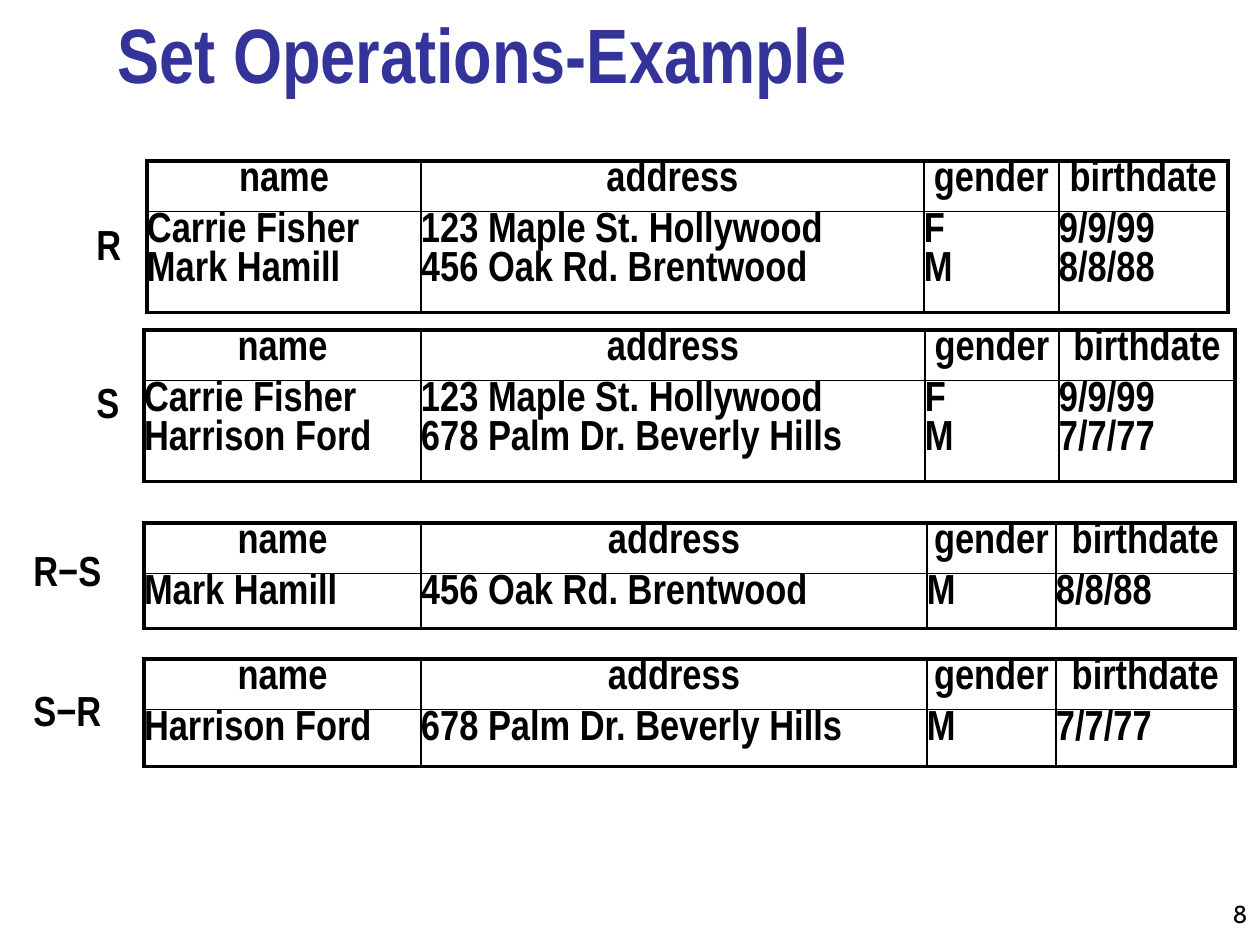
from lxml.etree import SubElement
from pptx import Presentation
from pptx.dml.color import RGBColor
from pptx.enum.text import MSO_ANCHOR as Anchor, PP_ALIGN as Align
from pptx.oxml.ns import qn
from pptx.util import Pt

PX = 914400 / 126
BLACK = RGBColor(0x00, 0x00, 0x00)
INDIGO = RGBColor(0x33, 0x33, 0x99)
NARROW = "Arial Narrow"
OUTER, INNER = Pt(2.25), Pt(1)
HEADINGS = ["name", "address", "gender", "birthdate"]

FISHER = ["Carrie Fisher", "123 Maple St. Hollywood", "F", "9/9/99"]
HAMILL = ["Mark Hamill", "456 Oak Rd. Brentwood", "M", "8/8/88"]
FORD = ["Harrison Ford", "678 Palm Dr. Beverly Hills", "M", "7/7/77"]

DIFFERENCE_COLUMNS = [277, 506, 129, 179]
RELATIONS = [
    ("R", (84, 212, 83, 63), (147, 161), [274, 503, 135, 169], [44, 93], [FISHER, HAMILL]),
    ("S", (84, 370, 63, 63), (144, 330), [277, 504, 134, 176], [42, 84], [FISHER, FORD]),
    ("R−S", (21, 538, 116, 63), (144, 523), DIFFERENCE_COLUMNS, [50, 55], [HAMILL]),
    ("S−R", (21, 678, 113, 63), (144, 659), DIFFERENCE_COLUMNS, [50, 57], [FORD]),
]


def emu(px):
    """Turn px into EMU."""
    return round(px * PX)


def add_words(paragraph, words, size=24, font=NARROW, color=BLACK, bold=True):
    """Add one styled run to a paragraph."""
    run = paragraph.add_run()
    run.text = words
    run.font.size = Pt(size)
    run.font.name = font
    run.font.bold = bold
    run.font.color.rgb = color


def add_label(slide, box, words, anchor=Anchor.TOP, align=Align.LEFT, before=0, **style):
    """Place one line of text in a box."""
    frame = slide.shapes.add_textbox(*map(emu, box)).text_frame
    frame.word_wrap = True
    frame.vertical_anchor = anchor
    line = frame.paragraphs[0]
    line.alignment = align
    line.space_before = Pt(before)
    add_words(line, words, **style)


def set_borders(cell, widths):
    """Draw the left, right, top and bottom borders of a cell."""
    properties = cell._tc.get_or_add_tcPr()
    for side, width in zip("LRTB", widths):
        border = SubElement(properties, qn(f"a:ln{side}"), w=str(width))
        fill = SubElement(border, qn("a:solidFill"))
        SubElement(fill, qn("a:srgbClr"), val=str(BLACK))


def fill_cell(cell, lines, align):
    """Write the lines of a cell without margins or fill."""
    cell.margin_left = cell.margin_right = cell.margin_top = cell.margin_bottom = 0
    cell.fill.background()
    frame = cell.text_frame
    for index, words in enumerate(lines):
        paragraph = frame.add_paragraph() if index else frame.paragraphs[0]
        paragraph.alignment = align
        add_words(paragraph, words)


def add_relation(slide, name, label_box, corner, columns, rows, tuples):
    """Place a relation's table and the name beside it."""
    box = (*corner, sum(columns), sum(rows))
    table = slide.shapes.add_table(2, len(columns), *map(emu, box)).table
    table.first_row = table.horz_banding = False
    for row, height in zip(table.rows, rows):
        row.height = emu(height)
    last = len(columns) - 1
    for index, (width, heading, values) in enumerate(zip(columns, HEADINGS, zip(*tuples))):
        table.columns[index].width = emu(width)
        left = OUTER if index == 0 else INNER
        right = OUTER if index == last else INNER
        header, body = table.cell(0, index), table.cell(1, index)
        set_borders(header, (left, right, OUTER, INNER))
        set_borders(body, (left, right, INNER, OUTER))
        fill_cell(header, [heading], Align.CENTER)
        fill_cell(body, values, Align.LEFT)
    add_label(slide, label_box, name, before=6)


def main():
    """Build the slide and save it."""
    deck = Presentation()
    deck.slide_width, deck.slide_height = emu(1260), emu(945)
    slide = deck.slides.add_slide(deck.slide_layouts[6])
    add_label(slide, (105, 10, 1074, 95), "Set Operations-Example",
              anchor=Anchor.BOTTOM, size=44, color=INDIGO)
    for relation in RELATIONS:
        add_relation(slide, *relation)
    add_label(slide, (1176, 872, 84, 63), "8", anchor=Anchor.BOTTOM,
              align=Align.RIGHT, size=14, font="Cabin", bold=False)
    deck.save("out.pptx")


if __name__ == "__main__":
    main()
